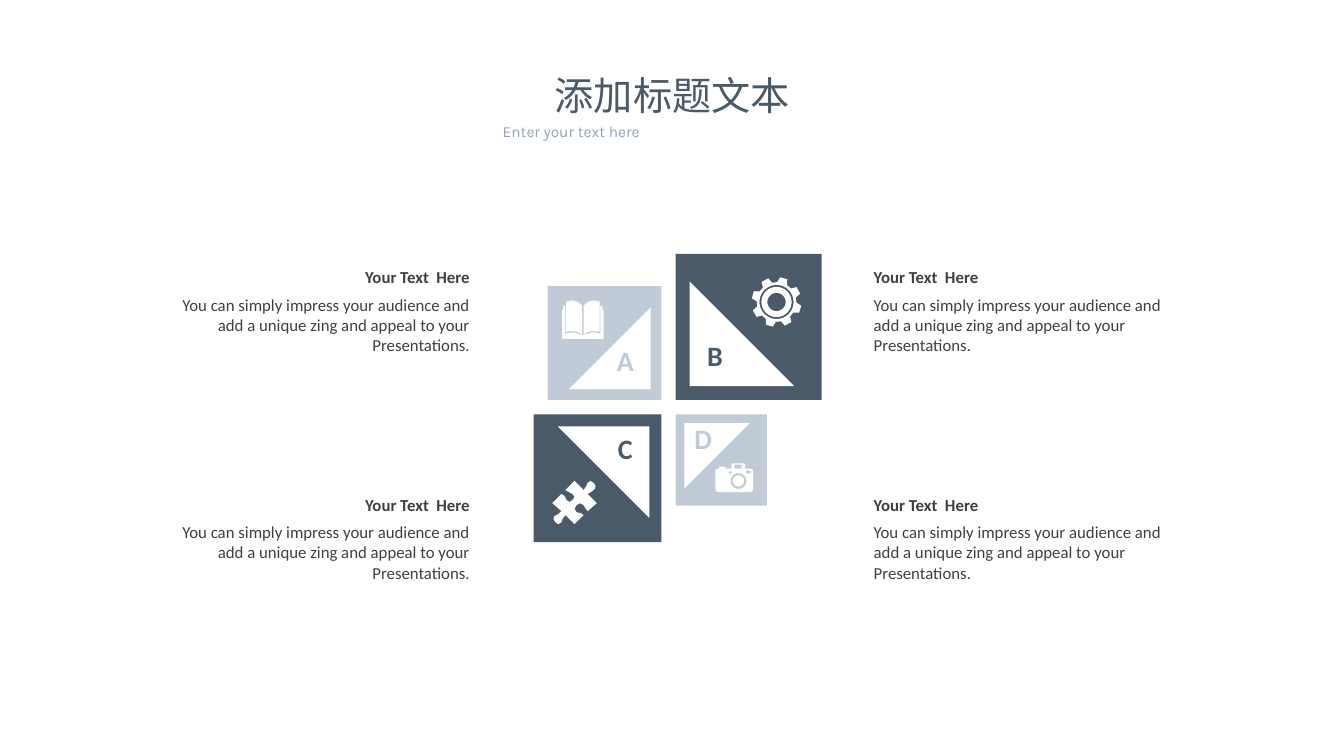
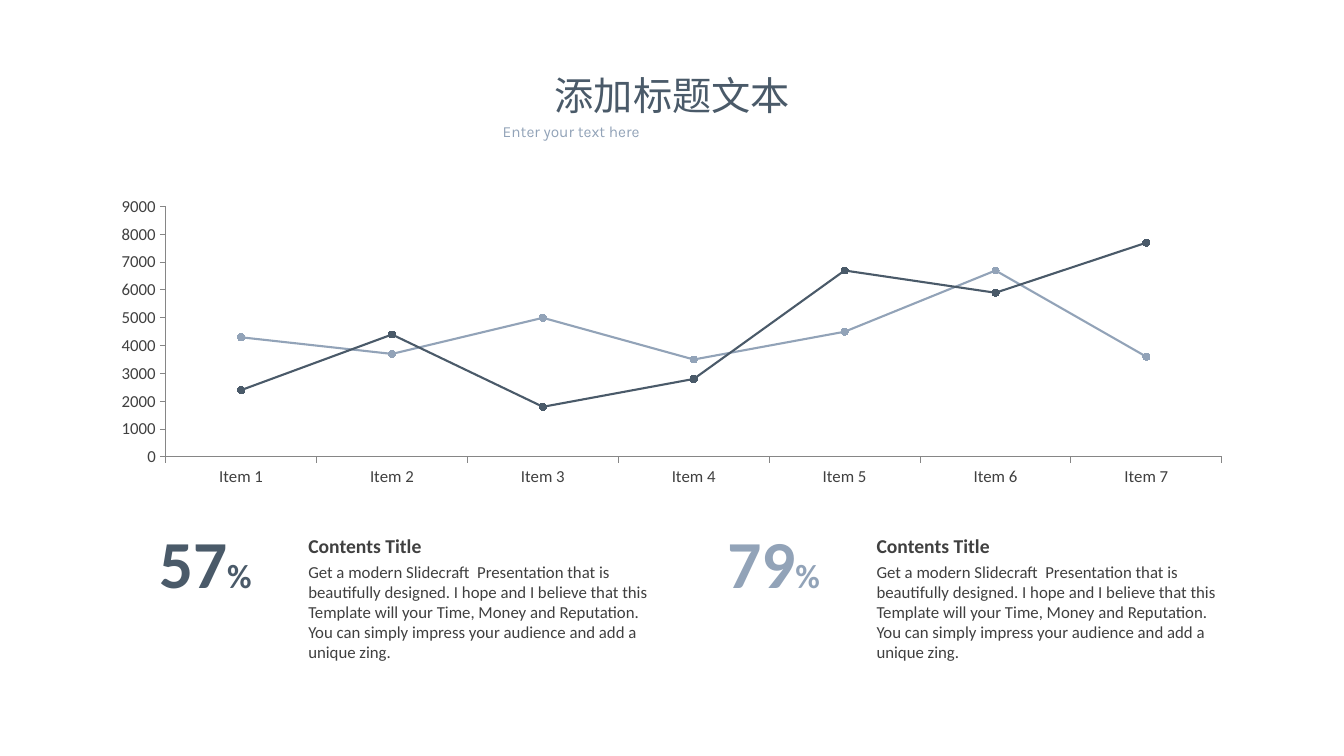
from math import cos, radians, sin

from lxml import etree
from pptx import Presentation
from pptx.chart.data import CategoryChartData
from pptx.dml.color import RGBColor
from pptx.enum.chart import XL_CHART_TYPE, XL_MARKER_STYLE, XL_TICK_MARK
from pptx.enum.dml import MSO_LINE
from pptx.enum.shapes import MSO_SHAPE
from pptx.enum.text import MSO_ANCHOR, MSO_AUTO_SIZE, PP_ALIGN
from pptx.oxml.ns import qn
from pptx.util import Cm, Pt

COLORS = {
    "dark": "4A5A69",
    "mid": "92A3B8",
    "light": "C1CBD7",
    "text": "404040",
    "axis": "868686",
    "white": "FFFFFF",
}
TITLE_FONT, SUBTITLE_FONT, BODY_FONT = "Noto Sans CJK SC", "Karla", "Calibri"


def rgb(name):
    return RGBColor.from_string(COLORS[name])


# Icon outlines: lists of closed contours, in cm from the icon's origin
def circle(x, y, r, steps=48):
    angles = [radians(360 * i / steps) for i in range(steps)]
    return [(x + r * cos(a), y + r * sin(a)) for a in angles]


def box(x1, y1, x2, y2):
    return [(x1, y1), (x2, y1), (x2, y2), (x1, y2)]


def gear():
    """Eight teeth around the origin, with a ring and a hub cut out."""
    rim = []
    for tooth in range(8):
        middle = -73 + 45 * tooth
        for offset, r in ((-15, 0.5), (-8.5, 0.63), (8.5, 0.63), (15, 0.5)):
            a = radians(middle + offset)
            rim.append((r * cos(a), r * sin(a)))
    return [rim] + [circle(0, 0, r) for r in (0.43, 0.38, 0.23)]


def book():
    """Left page and cover, mirrored to the right."""
    page = [(0.1, 0.03), (0.25, 0), (0.38, 0.03), (0.5, 0.13),
            (0.5, 0.86), (0.4, 0.8), (0.28, 0.77), (0.1, 0.79)]
    cover = [(0, 0.23), (0.03, 0.23), (0.03, 0.13), (0.08, 0.13), (0.08, 0.84),
             (0.28, 0.8), (0.49, 0.87), (0.52, 0.88), (0.52, 0.97), (0, 0.97)]
    left = [page, cover]
    return left + [[(1.04 - x, y) for x, y in part] for part in left]


def camera():
    body = [(0, 0.2), (0.02, 0.15), (0.07, 0.13), (0.1, 0.13), (0.1, 0.08),
            (0.25, 0.08), (0.25, 0.13), (0.41, 0.13), (0.41, 0.02), (0.43, 0),
            (0.72, 0), (0.74, 0.02), (0.74, 0.13), (0.88, 0.13), (0.93, 0.15),
            (0.95, 0.2), (0.95, 0.65), (0.93, 0.7), (0.88, 0.72), (0.07, 0.72),
            (0.02, 0.7), (0, 0.65)]
    return [body, box(0.48, 0.03, 0.66, 0.13), box(0.33, 0.2, 0.41, 0.25),
            box(0.77, 0.18, 0.89, 0.25),
            circle(0.58, 0.44, 0.2), circle(0.58, 0.44, 0.14)]


def puzzle():
    return [[(1.04, 0.05), (1.09, 0.12), (1.07, 0.2), (1, 0.26), (0.89, 0.33),
             (1.12, 0.56), (0.89, 0.76), (0.84, 0.7), (0.79, 0.61), (0.7, 0.56),
             (0.61, 0.61), (0.56, 0.7), (0.61, 0.79), (0.71, 0.81), (0.79, 0.86),
             (0.56, 1.09), (0.33, 0.86), (0.26, 0.95), (0.23, 1.04), (0.15, 1.09),
             (0.08, 1.04), (0.03, 0.97), (0.05, 0.89), (0.14, 0.84), (0.23, 0.76),
             (0, 0.56), (0.23, 0.33), (0.31, 0.38), (0.36, 0.48), (0.43, 0.53),
             (0.51, 0.48), (0.56, 0.4), (0.51, 0.33), (0.42, 0.28), (0.33, 0.23),
             (0.56, 0), (0.79, 0.23), (0.85, 0.14), (0.89, 0.05), (0.96, 0)]]


class Deck:
    """Holds the shared style and the current slide."""

    def __init__(self):
        self.prs = Presentation()
        self.prs.slide_width, self.prs.slide_height = Cm(33.87), Cm(19.05)
        self.s = None

    def style(self, r, size, color, bold=False, font=BODY_FONT):
        r.font.size, r.font.bold, r.font.name = Pt(size), bold, font
        r.font.color.rgb = rgb(color)

    def slide(self, title, subtitle):
        self.s = self.prs.slides.add_slide(self.prs.slide_layouts[5])
        sp = self.s.shapes.title
        sp.left, sp.top, sp.width, sp.height = Cm(13.69), Cm(1.68), Cm(6.5), Cm(1.45)
        tf = sp.text_frame
        tf.text = title
        tf.word_wrap, tf.auto_size = False, MSO_AUTO_SIZE.NONE
        tf.vertical_anchor = MSO_ANCHOR.TOP
        p = tf.paragraphs[0]
        p.alignment = PP_ALIGN.CENTER
        r = p.runs[0]
        self.style(r, 28, "dark", font=TITLE_FONT)
        latin = r.font._element.find(qn("a:latin"))
        ea = etree.Element(qn("a:ea"), typeface=TITLE_FONT)
        latin.addnext(ea)
        self.text(subtitle, 12.42, 2.95, 9.02, 0.74, 11, "mid",
                  align=PP_ALIGN.JUSTIFY, font=SUBTITLE_FONT)

    def text(self, text, x, y, w, h, size, color, bold=False,
             align=PP_ALIGN.LEFT, font=BODY_FONT):
        sp = self.s.shapes.add_textbox(Cm(x), Cm(y), Cm(w), Cm(h))
        tf = sp.text_frame
        tf.text, tf.word_wrap = text, True
        p = tf.paragraphs[0]
        p.alignment = align
        self.style(p.runs[0], size, color, bold, font)
        return tf

    def paint(self, sp, color):
        sp.shadow.inherit = False
        sp.fill.solid()
        sp.fill.fore_color.rgb = rgb(color)
        sp.line.fill.background()

    def square(self, kind, x, y, side, color, rotation=0):
        sp = self.s.shapes.add_shape(kind, Cm(x), Cm(y), Cm(side), Cm(side))
        sp.rotation = rotation
        self.paint(sp, color)

    def icon(self, contours, x, y):
        units = 1000  # path units per cm
        scaled = [[(px * units, py * units) for px, py in c] for c in contours]
        builder = self.s.shapes.build_freeform(*scaled[0][0], scale=Cm(1) / units)
        for i, points in enumerate(scaled):
            if i:
                builder.move_to(*points[0])
            builder.add_line_segments(points[1:], close=True)
        self.paint(builder.convert_to_shape(Cm(x), Cm(y)), "white")

    def caption(self, head, body, x, y, align):
        self.text(head, x, y, 8.1, 0.89, 12, "text", True, align)
        self.text(body, x, y + 0.69, 8.1, 2.06, 12, "text", align=align)

    def stat(self, number, head, body, x, y, color):
        tf = self.text(number, x, y, 3.23, 2.31, 48, color, True)
        tf.vertical_anchor = MSO_ANCHOR.MIDDLE
        r = tf.paragraphs[0].add_run()
        r.text = "%"
        self.style(r, 24, color, True)
        self.text(head, x + 3.76, y + 0.34, 9.27, 0.86, 14, "text", True)
        self.text(body, x + 3.76, y + 1.02, 9.27, 2.82, 12, "text")

    def line_chart(self, categories, series, x, y, w, h):
        data = CategoryChartData()
        data.categories = categories
        for name, values, _ in series:
            data.add_series(name, values)
        chart = self.s.shapes.add_chart(XL_CHART_TYPE.LINE_MARKERS, Cm(x), Cm(y),
                                        Cm(w), Cm(h), data).chart
        chart.has_legend = chart.has_title = False
        chart.font.name, chart.font.size = BODY_FONT, Pt(12)
        chart.font.color.rgb = rgb("text")
        plot = chart.plots[0]
        plot.vary_by_categories = False
        for ser, (_, _, color) in zip(plot.series, series):
            ser.smooth = False
            ser.format.line.color.rgb = rgb(color)
            ser.format.line.width = Pt(1.5)
            ser.marker.style, ser.marker.size = XL_MARKER_STYLE.CIRCLE, 5
            ser.marker.format.fill.solid()
            ser.marker.format.fill.fore_color.rgb = rgb(color)
            ser.marker.format.line.color.rgb = rgb(color)
        for axis in (chart.category_axis, chart.value_axis):
            axis.major_tick_mark = XL_TICK_MARK.OUTSIDE
            axis.format.line.color.rgb = rgb("axis")
            axis.format.line.width = Pt(0.75)
        axis = chart.value_axis
        axis.minimum_scale, axis.maximum_scale, axis.major_unit = 0, 9000, 1000
        grid = axis.major_gridlines.format.line
        grid.color.rgb, grid.width = rgb("white"), Pt(0.75)
        grid.dash_style = MSO_LINE.DASH


def panels_slide(deck):
    deck.slide("添加标题文本", "Enter your text here")

    # Panels meet at a central cross: side, horizontal and vertical direction,
    # colour, triangle rotation, letter and its place
    center_x, center_y, half_gap = 16.85, 10.26, 0.18
    panels = [
        (2.87, -1, -1, "light", 270, "A", 15.11, 8.53),
        (3.68, 1, -1, "dark", 0, "B", 17.37, 8.41),
        (3.22, -1, 1, "dark", 180, "C", 15.11, 10.74),
        (2.3, 1, 1, "light", 90, "D", 17.07, 10.49),
    ]
    for side, dx, dy, color, rotation, letter, letter_x, letter_y in panels:
        inset, leg = 0.095 * side, 0.717 * side
        for kind, gap, size, fill, turn in (
                (MSO_SHAPE.RECTANGLE, half_gap, side, color, 0),
                (MSO_SHAPE.RIGHT_TRIANGLE, half_gap + inset, leg, "white", rotation)):
            x = center_x + dx * gap - (size if dx < 0 else 0)
            y = center_y + dy * gap - (size if dy < 0 else 0)
            deck.square(kind, x, y, size, fill, turn)
        deck.text(letter, letter_x, letter_y, 1.3, 1.12, 20, color, True,
                  PP_ALIGN.CENTER)

    # Icons
    deck.icon(book(), 14.17, 7.57)
    deck.icon(gear(), 19.57, 7.61)
    deck.icon(puzzle(), 13.92, 12.12)
    deck.icon(camera(), 18.03, 11.68)

    # Captions on both sides
    body = ("You can simply impress your audience and add a unique zing "
            "and appeal to your Presentations.")
    for x, align in ((3.99, PP_ALIGN.RIGHT), (21.77, PP_ALIGN.LEFT)):
        for y in (6.6, 12.34):
            deck.caption("Your Text  Here", body, x, y, align)


def chart_slide(deck):
    deck.slide("添加标题文本", "Enter your text here")
    deck.line_chart(
        [f"Item {i}" for i in range(1, 8)],
        [("Series 1", (4300, 3700, 5000, 3500, 4500, 6700, 3600), "mid"),
         ("Series 2", (2400, 4400, 1800, 2800, 6700, 5900, 7700), "dark")],
        2.49, 4.8, 28.88, 7.62)

    # Key figures
    body = ("Get a modern Slidecraft  Presentation that is beautifully designed. "
            "I hope and I believe that this Template will your Time, Money and "
            "Reputation. You can simply impress your audience and add a unique zing.")
    for i, (number, color) in enumerate((("57", "dark"), ("79", "mid"))):
        deck.stat(number, "Contents Title", body, 3.76 + 14.32 * i, 13, color)


def main():
    deck = Deck()
    panels_slide(deck)
    chart_slide(deck)
    deck.prs.save("out.pptx")


if __name__ == "__main__":
    main()
